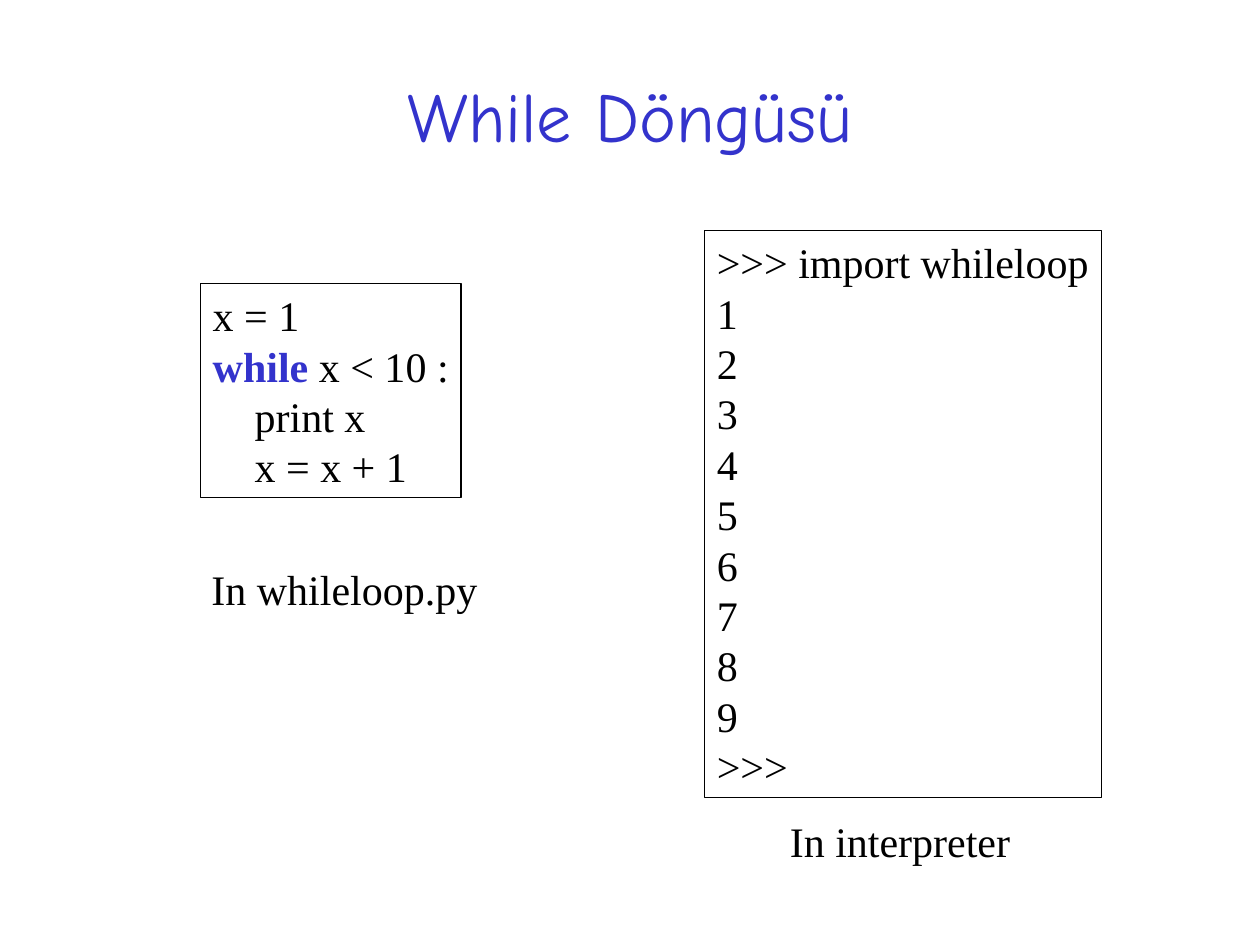
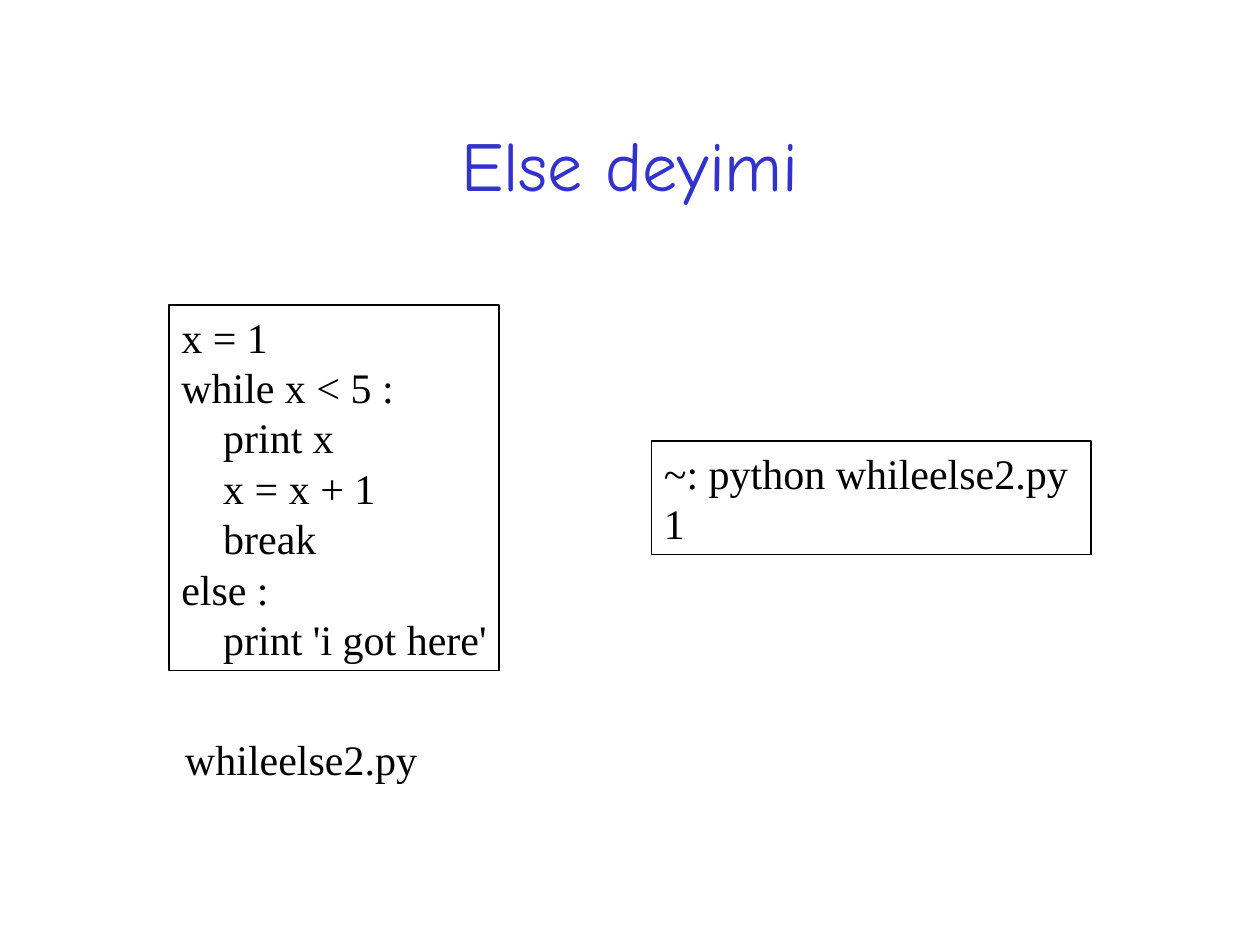
from dataclasses import dataclass

from pptx import Presentation
from pptx.dml.color import RGBColor
from pptx.enum.shapes import MSO_SHAPE
from pptx.enum.text import MSO_ANCHOR, MSO_AUTO_SIZE, PP_ALIGN
from pptx.util import Inches, Pt

RECTANGLE = MSO_SHAPE.RECTANGLE
TOP, MIDDLE = MSO_ANCHOR.TOP, MSO_ANCHOR.MIDDLE
LEFT, CENTER = PP_ALIGN.LEFT, PP_ALIGN.CENTER
FIT_SHAPE = MSO_AUTO_SIZE.SHAPE_TO_FIT_TEXT
BLANK_LAYOUT = 6


@dataclass(frozen=True)
class Theme:
    accent: RGBColor = RGBColor(0x33, 0x33, 0xCC)
    ink: RGBColor = RGBColor(0, 0, 0)
    title_font: str = "Comic Neue"
    body_font: str = "Times New Roman"
    title_size: int = 40
    body_size: int = 24
    line_height: float = 0.4
    padding: float = 0.05
    border: float = 0.75


THEME = Theme()

WHILE_CODE = """x = 1
while x < 10 :
    print x
    x = x + 1"""

WHILE_OUTPUT = "\n".join([">>> import whileloop", *map(str, range(1, 10)), ">>>"])

ELSE_CODE = """x = 1
while x < 5 :
    print x
    x = x + 1
    break
else :
    print 'i got here'"""

ELSE_OUTPUT = "~: python whileelse2.py\n1"


def style_run(r, font, size, color):
    r.font.name = font
    r.font.size = Pt(size)
    r.font.color.rgb = color


def add_title(s, text, top, height):
    sp = s.shapes.add_textbox(Inches(0.75), Inches(top), Inches(8.5), Inches(height))
    tf = sp.text_frame
    tf.word_wrap = True
    tf.vertical_anchor = MIDDLE
    tf.text = text
    p = tf.paragraphs[0]
    p.alignment = CENTER
    style_run(p.runs[0], THEME.title_font, THEME.title_size, THEME.accent)


def text_height(text):
    """Height of a box that holds the lines of text and its padding."""
    lines = text.count("\n") + 1
    return Inches(lines * THEME.line_height + 2 * THEME.padding)


def fill_text(sp, text):
    """Write left-aligned lines; the slim right margin keeps each on one line."""
    tf = sp.text_frame
    tf.text = text
    tf.word_wrap = True
    tf.margin_right = Inches(THEME.padding)
    tf.auto_size = FIT_SHAPE
    tf.vertical_anchor = TOP
    for p in tf.paragraphs:
        p.alignment = LEFT
        p.line_spacing = Inches(THEME.line_height)
        for r in p.runs:
            style_run(r, THEME.body_font, THEME.body_size, THEME.ink)


def add_code_box(s, text, left, top, width):
    sp = s.shapes.add_shape(RECTANGLE, Inches(left), Inches(top), Inches(width),
                            text_height(text))
    sp.shadow.inherit = False
    sp.fill.background()
    sp.line.color.rgb = THEME.ink
    sp.line.width = Pt(THEME.border)
    fill_text(sp, text)
    return sp


def add_caption(s, text, left, top, width):
    sp = s.shapes.add_textbox(Inches(left), Inches(top), Inches(width),
                              text_height(text))
    fill_text(sp, text)


def highlight_keyword(p, keyword):
    """Set the keyword that opens a paragraph in bold accent colour."""
    r = p.runs[0]
    rest = p.add_run()
    rest.text = r.text.removeprefix(keyword)
    style_run(rest, THEME.body_font, THEME.body_size, THEME.ink)
    r.text = keyword
    r.font.bold = True
    r.font.color.rgb = THEME.accent


def build_while_slide(s):
    add_title(s, "While Döngüsü", 0.36, 1.1)
    code = add_code_box(s, WHILE_CODE, 1.59, 2.25, 2.07)
    highlight_keyword(code.text_frame.paragraphs[1], "while")
    add_code_box(s, WHILE_OUTPUT, 5.59, 1.83, 3.15)
    add_caption(s, "In whileloop.py", 1.58, 4.42, 2.31)
    add_caption(s, "In interpreter", 6.17, 6.42, 1.95)


def build_else_slide(s):
    add_title(s, "Else deyimi", 0.67, 1.25)
    add_code_box(s, ELSE_CODE, 1.34, 2.42, 2.62)
    add_code_box(s, ELSE_OUTPUT, 5.17, 3.5, 3.49)
    add_caption(s, "whileelse2.py", 1.37, 5.77, 2.04)


def main():
    prs = Presentation()
    prs.slide_width, prs.slide_height = Inches(10), Inches(7.5)
    for build in (build_while_slide, build_else_slide):
        build(prs.slides.add_slide(prs.slide_layouts[BLANK_LAYOUT]))
    prs.save("out.pptx")


if __name__ == "__main__":
    main()
